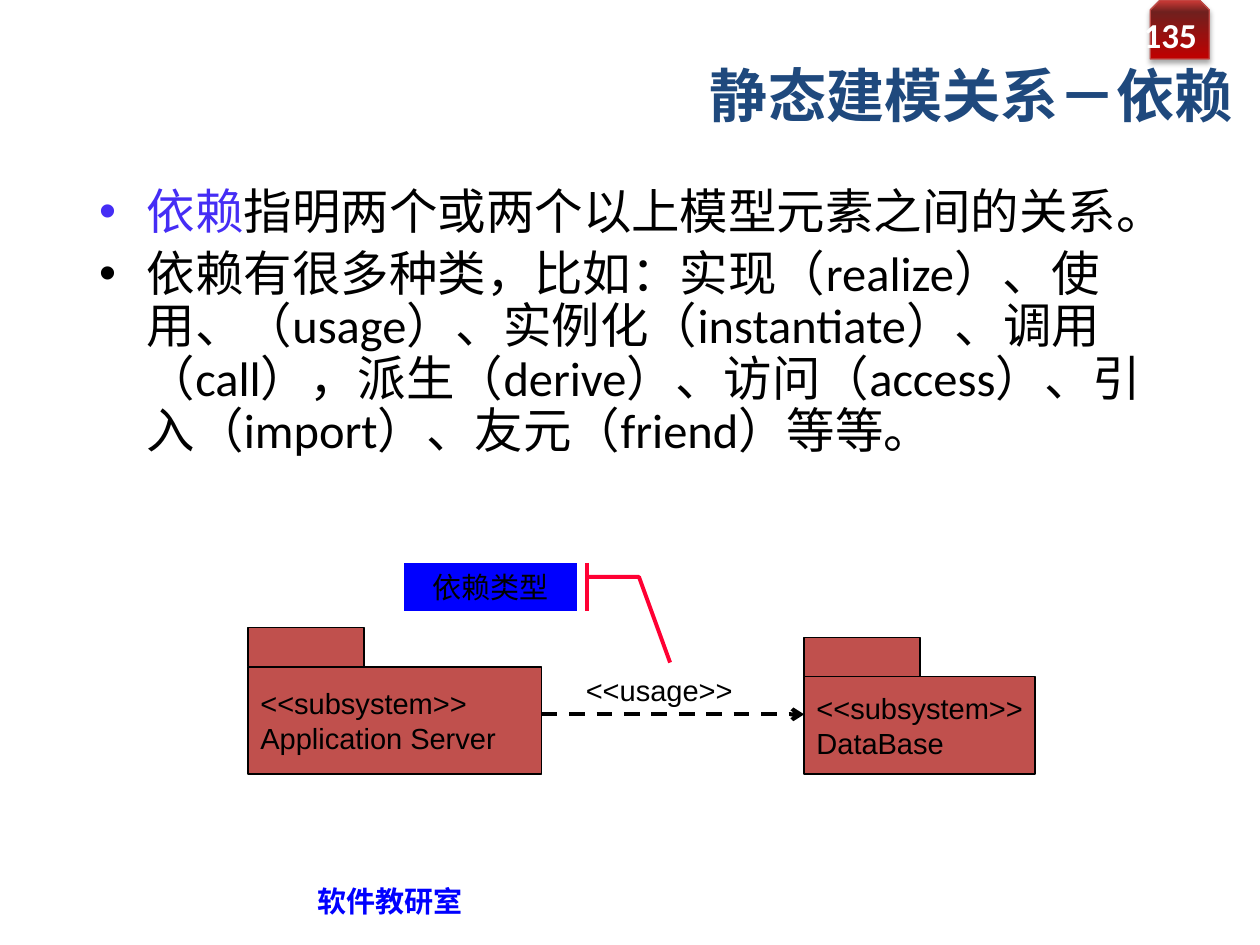
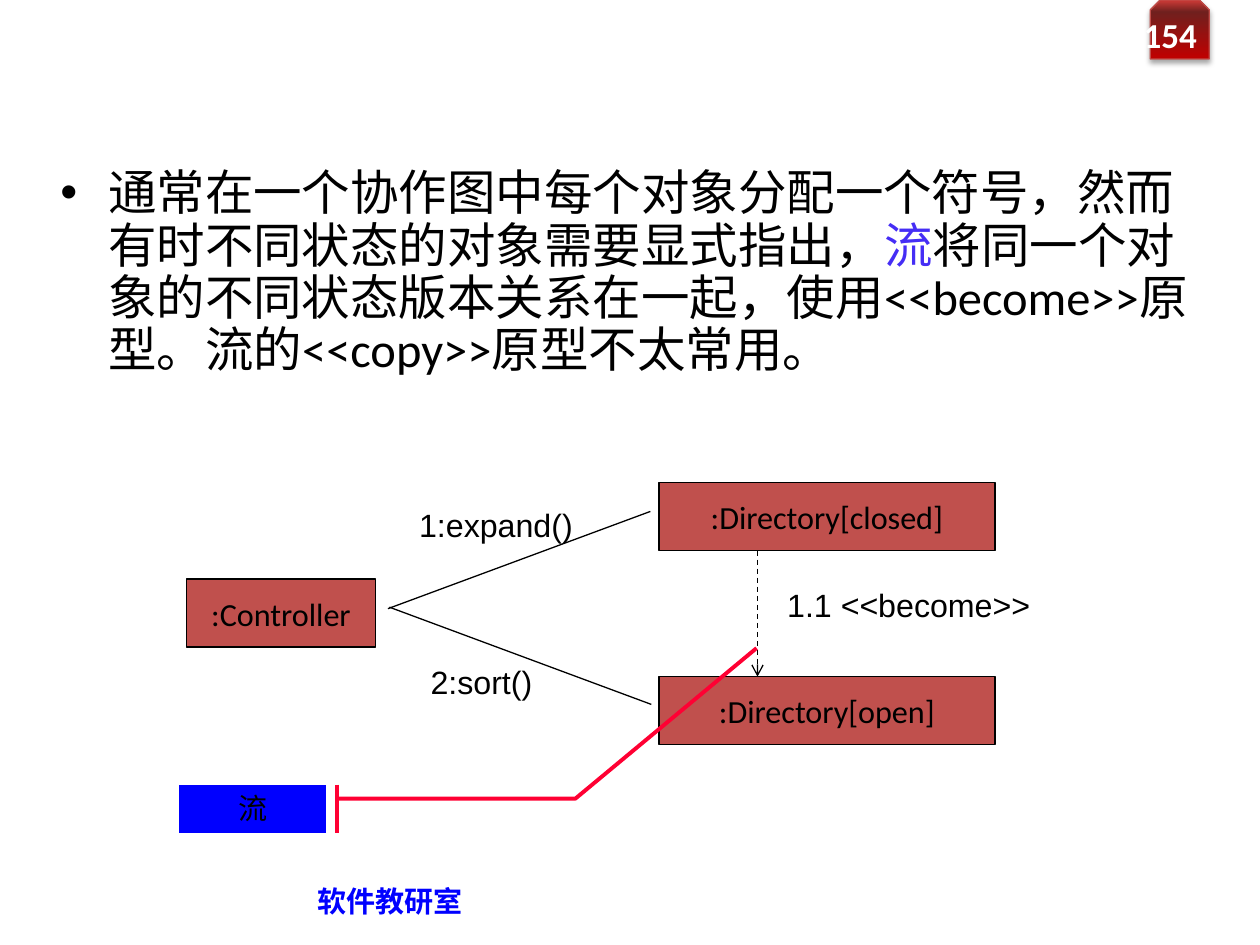
from dataclasses import dataclass
from typing import Optional

from lxml import etree
from pptx import Presentation
from pptx import util as u
from pptx.dml.color import RGBColor
from pptx.enum import dml, shapes, text
from pptx.oxml import parse_xml
from pptx.oxml.ns import nsdecls, qn

COLORS = {
    "black": "000000",
    "white": "FFFFFF",
    "title": "1F497D",
    "keyword": "452DF5",
    "footer": "0000FF",
    "node": "C0504D",
    "callout": "0000FF",
    "pointer": "FF0033",
    "badge_start": "C00000",
    "badge_middle": "70201E",
    "badge_end": "CE3B37",
    "badge_line": "BF4C48",
}
HEADING, PLAIN = "Calibri", "Arial"
SMALL, MEDIUM, BODY = 16.6, 18.4, 27.7
TAB_WIDTH, TAB_HEIGHT = 2.34, 0.79
LEFT, CENTER, RIGHT = text.PP_ALIGN.LEFT, text.PP_ALIGN.CENTER, text.PP_ALIGN.RIGHT
TOP, MIDDLE = text.MSO_ANCHOR.TOP, text.MSO_ANCHOR.MIDDLE


# All lengths in these records are centimetres
@dataclass
class Box:
    left: float
    top: float
    width: float
    height: float

    def lengths(self) -> list:
        return [u.Cm(value) for value in (self.left, self.top, self.width, self.height)]


@dataclass
class Node:
    box: Box
    lines: list
    font: str = HEADING
    size: float = MEDIUM
    align: int = CENTER


@dataclass
class Label:
    box: Box
    words: str
    size: float = MEDIUM


@dataclass
class Link:
    start: tuple
    end: tuple
    width: float = 0.75
    arrow: bool = False


@dataclass
class Callout:
    box: Box
    words: str
    adjustments: tuple


def rgb(name: str) -> RGBColor:
    return RGBColor.from_string(COLORS[name])


# Text
def write_text(shape, lines: list, *, font: str = PLAIN, size: float = SMALL,
               color: str = "black", bold: bool = False, align: int = LEFT,
               anchor: int = TOP, wrap: bool = True, bullet: bool = False) -> None:
    """Fill a shape; each line is a string or a list of (text, colour) runs."""
    frame = shape.text_frame
    frame.word_wrap = wrap
    frame.auto_size = text.MSO_AUTO_SIZE.NONE
    frame.vertical_anchor = anchor
    for index, line in enumerate(lines):
        paragraph = frame.add_paragraph() if index else frame.paragraphs[0]
        paragraph.alignment = align
        if bullet:
            format_bullet(paragraph, first=index == 0)
        for words, run_color in [(line, color)] if isinstance(line, str) else line:
            run = paragraph.add_run()
            run.text = words
            run.font.name = font
            run.font.size = u.Pt(size)
            run.font.bold = bold
            run.font.color.rgb = rgb(run_color)


def format_bullet(paragraph, first: bool) -> None:
    paragraph.line_spacing = 0.9
    paragraph.space_before = u.Pt(0 if first else 5.5)
    properties = paragraph._p.get_or_add_pPr()
    indent = u.Cm(0.96)
    properties.set("marL", str(indent))
    properties.set("indent", str(-indent))
    etree.SubElement(properties, qn("a:buFont")).set("typeface", PLAIN)
    etree.SubElement(properties, qn("a:buChar")).set("char", "•")


def add_text(slide, box: Box, lines: list, **style):
    shape = slide.shapes.add_textbox(*box.lengths())
    write_text(shape, lines, **style)
    return shape


# Shapes
def add_filled(slide, kind: int, box: Box, fill: str, line: str, line_width: float):
    shape = slide.shapes.add_shape(kind, *box.lengths())
    shape.shadow.inherit = False
    shape.fill.solid()
    shape.fill.fore_color.rgb = rgb(fill)
    shape.line.color.rgb = rgb(line)
    shape.line.width = u.Pt(line_width)
    return shape


def add_node(slide, node: Node) -> None:
    shape = add_filled(slide, shapes.MSO_SHAPE.RECTANGLE, node.box, "node", "black", 1)
    write_text(shape, node.lines, font=node.font, size=node.size,
               align=node.align, anchor=MIDDLE, wrap=False)


def add_package(slide, box: Box, name: str) -> None:
    """A UML package: a body with a tab on its upper left edge."""
    add_node(slide, Node(box, ["<<subsystem>>", name], PLAIN, SMALL, LEFT))
    tab = Box(box.left, box.top - TAB_HEIGHT, TAB_WIDTH, TAB_HEIGHT)
    add_filled(slide, shapes.MSO_SHAPE.RECTANGLE, tab, "node", "black", 1)


def add_link(slide, link: Link) -> None:
    points = [u.Cm(value) for value in (*link.start, *link.end)]
    connector = slide.shapes.add_connector(shapes.MSO_CONNECTOR.STRAIGHT, *points)
    connector.line.color.rgb = rgb("black")
    connector.line.width = u.Pt(link.width)
    if link.arrow:
        connector.line.dash_style = dml.MSO_LINE.DASH
        line = connector.line._get_or_add_ln()
        etree.SubElement(line, qn("a:tailEnd")).set("type", "arrow")
    etree.SubElement(connector._element.spPr, qn("a:effectLst"))


def add_label(slide, label: Label) -> None:
    add_text(slide, label.box, [label.words], size=label.size)


def add_callout(slide, callout: Callout) -> None:
    shape = add_filled(slide, shapes.MSO_SHAPE.LINE_CALLOUT_2_ACCENT_BAR,
                       callout.box, "callout", "pointer", 2.25)
    for index, value in enumerate(callout.adjustments):
        shape.adjustments[index] = value
    write_text(shape, [callout.words], font=HEADING, align=CENTER)


# Shared frame: page badge, footer and optional title
def add_badge(slide, number: int) -> None:
    badge = add_filled(slide, shapes.MSO_SHAPE.SNIP_2_SAME_RECTANGLE,
                       Box(23.19, 0, 1.19, 1.19), "badge_start", "badge_line", 0.75)
    properties = badge._element.spPr
    stops = "".join(
        f'<a:gs pos="{position}"><a:srgbClr val="{COLORS[name]}"/></a:gs>'
        for position, name in
        ((0, "badge_start"), (80000, "badge_middle"), (100000, "badge_end")))
    gradient = parse_xml(f'<a:gradFill {nsdecls("a")}><a:gsLst>{stops}</a:gsLst>'
                         '<a:lin ang="16200000" scaled="0"/></a:gradFill>')
    properties.replace(properties.find(qn("a:solidFill")), gradient)
    shadow = parse_xml(
        f'<a:effectLst {nsdecls("a")}><a:outerShdw blurRad="{u.Pt(3.1)}" '
        f'dist="{u.Pt(1.8)}" dir="5400000" rotWithShape="0">'
        f'<a:srgbClr val="{COLORS["black"]}"><a:alpha val="35000"/></a:srgbClr>'
        '</a:outerShdw></a:effectLst>')
    properties.replace(properties.find(qn("a:effectLst")), shadow)
    page = add_text(slide, Box(22.78, 0.18, 1.6, 1.02), [str(number)], font=HEADING,
                    size=20, color="white", bold=True, align=RIGHT, anchor=MIDDLE)
    page.text_frame.margin_left = 0


def start_slide(presentation, number: int, title: Optional[str] = None):
    layout = "Title Only" if title else "Blank"
    slide = presentation.slides.add_slide(
        presentation.slide_layouts.get_by_name(layout))
    add_badge(slide, number)
    add_text(slide, Box(6.15, 17.65, 3.6, 1.02), ["软件教研室"],
             color="footer", bold=True, anchor=MIDDLE, wrap=False)
    if title:
        heading = slide.shapes.title
        heading.left, heading.top, heading.width, heading.height = Box(
            10.08, 1.17, 15.04, 1.47).lengths()
        write_text(heading, [title], font=HEADING, size=33.2, color="title",
                   bold=True, align=RIGHT, anchor=MIDDLE)
    return slide


def add_body(slide, box: Box, lines: list) -> None:
    add_text(slide, box, lines, font=HEADING, size=BODY, bullet=True)


# Slides
def build_dependency(presentation) -> None:
    slide = start_slide(presentation, 135, "静态建模关系－依赖")
    add_body(slide, Box(1.75, 3.66, 21.59, 6.15), [
        [("依赖", "keyword"), ("指明两个或两个以上模型元素之间的关系。", "black")],
        "依赖有很多种类，比如：实现（realize）、使用、（usage）、实例化（instantiate）、"
        "调用（call），派生（derive）、访问（access）、引入（import）、友元（friend）等等。",
    ])
    server = Box(5, 13.44, 5.92, 2.16)
    database = Box(16.21, 13.64, 4.65, 1.96)
    add_package(slide, server, "Application Server")
    add_package(slide, database, "DataBase")
    add_link(slide, Link((server.left + server.width, 14.4), (database.left, 14.4),
                         2.25, arrow=True))
    add_label(slide, Label(Box(11.56, 13.44, 4.01, 0.97), "<<usage>>", SMALL))
    add_callout(slide, Callout(Box(8.15, 11.35, 3.48, 0.97), "依赖类型",
                               (0.29, 1.06, 0.29, 1.36, 2.07, 1.54)))


def build_flow(presentation) -> None:
    slide = start_slide(presentation, 154)
    add_body(slide, Box(0.97, 3.28, 23.65, 4.11), [[
        ("通常在一个协作图中每个对象分配一个符号，然而有时不同状态的对象需要显式指出，", "black"),
        ("流", "keyword"),
        ("将同一个对象的不同状态版本关系在一起，使用<<become>>原型。"
         "流的<<copy>>原型不太常用。", "black"),
    ]])
    closed = Box(13.28, 9.73, 6.78, 1.37)
    opened = Box(13.28, 13.64, 6.78, 1.37)
    for node in (Node(Box(3.76, 11.68, 3.81, 1.37), [":Controller"]),
                 Node(closed, [":Directory[closed]"]),
                 Node(opened, [":Directory[open]"])):
        add_node(slide, node)
    for link in (Link((7.82, 12.27), (13.11, 10.31)),
                 Link((7.85, 12.24), (13.13, 14.2)),
                 Link((15.27, closed.top + closed.height), (15.27, opened.top),
                      arrow=True)):
        add_link(slide, link)
    for label in (Label(Box(8.2, 10.06, 4.24, 1.04), "1:expand()"),
                  Label(Box(8.43, 13.23, 4.24, 1.04), "2:sort()"),
                  Label(Box(15.62, 11.68, 6.15, 1.04), "1.1 <<become>>")):
        add_label(slide, label)
    add_callout(slide, Callout(Box(3.61, 15.82, 2.97, 0.97), "流",
                               (0.29, 1.07, 0.29, 2.69, -2.84, 3.92)))


def main() -> None:
    presentation = Presentation()
    presentation.slide_width = u.Cm(25.4)
    presentation.slide_height = u.Cm(19.05)
    build_dependency(presentation)
    build_flow(presentation)
    presentation.save("out.pptx")


if __name__ == "__main__":
    main()
